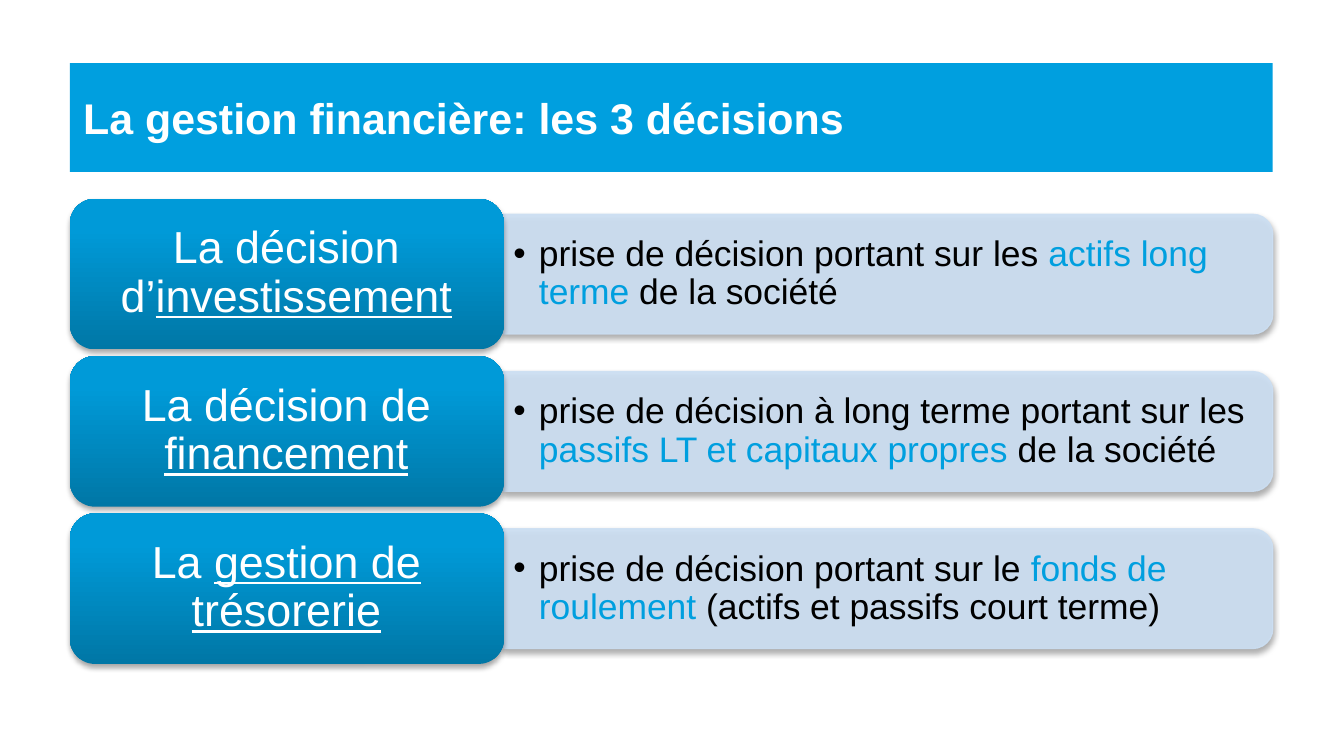
import pptx
import pptx.dml.color
import pptx.enum.shapes
import pptx.enum.text
import pptx.oxml
import pptx.oxml.ns
import pptx.util

Inches = pptx.util.Inches
Pt = pptx.util.Pt
RGBColor = pptx.dml.color.RGBColor
Shape = pptx.enum.shapes.MSO_SHAPE
Align = pptx.enum.text.PP_ALIGN
Anchor = pptx.enum.text.MSO_ANCHOR
qn = pptx.oxml.ns.qn

BLUE = RGBColor(0x00, 0x9F, 0xDF)
PALE = RGBColor(0xCC, 0xDF, 0xF3)
WHITE = RGBColor(0xFF, 0xFF, 0xFF)
BLACK = RGBColor(0x00, 0x00, 0x00)
DEEP = RGBColor(0x00, 0x77, 0xA6)
MIDDLE = RGBColor(0x00, 0x9A, 0xD8)
BRIGHT = RGBColor(0x00, 0x9B, 0xD9)

LEFT = 0.52
ROW_TOP, ROW_PITCH, ROW_HEIGHT = 1.48, 1.17, 1.12
LABEL_WIDTH = 3.23
PANEL_LEFT, PANEL_WIDTH, PANEL_HEIGHT = 3.74, 5.73, 0.89

# Each row: label runs and description runs; the second run is emphasised
ROWS = [
    (["La décision d’", "investissement"],
     ["prise de décision portant sur les ", "actifs long terme", " de la société"]),
    (["La décision de ", "financement"],
     ["prise de décision à long terme portant sur les ",
      "passifs LT et capitaux propres ", "de la société"]),
    (["La ", "gestion de trésorerie"],
     ["prise de décision portant sur le ", "fonds de roulement",
      " (actifs et passifs court terme)"]),
]


def drawing_xml(tag, attributes, content=""):
    namespace = pptx.oxml.ns.nsdecls("a")
    return pptx.oxml.parse_xml(f"<a:{tag} {namespace} {attributes}>{content}</a:{tag}>")


def write_text(shape, runs, font, size, color, accent=None, underline=False, bold=None,
               align=Align.LEFT, spacing=None, bullet=False, insets=(0.1, 0.05)):
    frame = shape.text_frame
    frame.word_wrap = True
    frame.vertical_anchor = Anchor.MIDDLE
    frame.margin_left = frame.margin_right = Inches(insets[0])
    frame.margin_top = frame.margin_bottom = Inches(insets[1])
    paragraph = frame.paragraphs[0]
    paragraph.alignment = align
    paragraph.line_spacing = spacing
    if bullet:
        paragraph.level = 1
        properties = paragraph._p.get_or_add_pPr()
        properties.set("marL", str(Inches(0.19)))
        properties.set("indent", str(Inches(-0.19)))
        properties.append(drawing_xml("buFont", f'typeface="{font}"'))
        properties.append(drawing_xml("buChar", 'char="•"'))
    paragraph.font.name = font
    paragraph.font.size = Pt(size)
    for index, text in enumerate(runs):
        emphasised = index == 1
        run = paragraph.add_run()
        run.text = text
        run.font.name = font
        run.font.size = Pt(size)
        run.font.bold = bold
        run.font.color.rgb = accent if emphasised and accent else color
        if emphasised and underline:
            run.font.underline = True


class SlideBuilder:
    def __init__(self, slide, font):
        self.slide = slide
        self.font = font

    def box(self, kind, left, top, width, height, color=None):
        shape = self.slide.shapes.add_shape(
            kind, Inches(left), Inches(top), Inches(width), Inches(height))
        shape.shadow.inherit = False
        shape.line.fill.background()
        if color is not None:
            shape.fill.solid()
            shape.fill.fore_color.rgb = color
        return shape

    def band(self, left, top, width, height, text, **style):
        shape = self.box(Shape.RECTANGLE, left, top, width, height, BLUE)
        write_text(shape, [text], self.font, **style)

    def text(self, left, top, width, height, runs, **style):
        shape = self.slide.shapes.add_textbox(
            Inches(left), Inches(top), Inches(width), Inches(height))
        write_text(shape, runs, self.font, **style)

    def cast_shadow(self, shape):
        effects = shape._element.spPr.find(qn("a:effectLst"))
        effects.append(drawing_xml(
            "outerShdw",
            f'blurRad="{Pt(3.1)}" dist="{Pt(1.8)}" dir="5400000" rotWithShape="0"',
            '<a:srgbClr val="000000"><a:alpha val="35000"/></a:srgbClr>'))

    def panel(self, left, top, width, height):
        # Drawn upright, then turned so that the rounded corners face right
        shape = self.box(Shape.ROUND_2_SAME_RECTANGLE,
                         left + (width - height) / 2, top + (height - width) / 2,
                         height, width, PALE)
        shape.rotation = 90
        shape.line.color.rgb = PALE
        shape.line.width = Pt(0.75)
        for color in shape._element.spPr.iter(qn("a:srgbClr")):
            color.append(drawing_xml("alpha", 'val="90000"'))
        self.cast_shadow(shape)

    def label(self, left, top, width, height):
        shape = self.box(Shape.ROUNDED_RECTANGLE, left, top, width, height)
        stops = "".join(
            f'<a:gs pos="{position * 1000}"><a:srgbClr val="{color}"/></a:gs>'
            for position, color in ((0, DEEP), (80, MIDDLE), (100, BRIGHT)))
        gradient = drawing_xml(
            "gradFill", 'rotWithShape="1"',
            f'<a:gsLst>{stops}</a:gsLst><a:lin ang="16200000" scaled="0"/>')
        shape._element.spPr.find(qn("a:prstGeom")).addnext(gradient)
        self.cast_shadow(shape)


def main():
    presentation = pptx.Presentation()
    # Widescreen, 16:9
    presentation.slide_width = Inches(10)
    presentation.slide_height = Inches(10 * 9 / 16)
    slide = presentation.slides.add_slide(presentation.slide_layouts[6])
    builder = SlideBuilder(slide, "Arial")

    # Title band
    builder.band(LEFT, 0.47, 8.95, 0.81, "La gestion financière: les 3 décisions",
                 size=23, color=WHITE, bold=True)

    # One row per decision
    for index, (name, description) in enumerate(ROWS):
        top = ROW_TOP + index * ROW_PITCH
        panel_top = top + (ROW_HEIGHT - PANEL_HEIGHT) / 2
        builder.panel(PANEL_LEFT, panel_top, PANEL_WIDTH, PANEL_HEIGHT)
        builder.text(PANEL_LEFT, panel_top + 0.04, PANEL_WIDTH - 0.04, PANEL_HEIGHT - 0.08,
                     description, size=19, color=BLACK, accent=BLUE,
                     spacing=0.9, bullet=True, insets=(0.08, 0.04))
        builder.label(LEFT, top, LABEL_WIDTH, ROW_HEIGHT)
        builder.text(LEFT + 0.05, top + 0.05, LABEL_WIDTH - 0.11, ROW_HEIGHT - 0.11,
                     name, size=24, color=WHITE, underline=True,
                     align=Align.CENTER, spacing=0.9)

    presentation.save("out.pptx")


if __name__ == "__main__":
    main()
